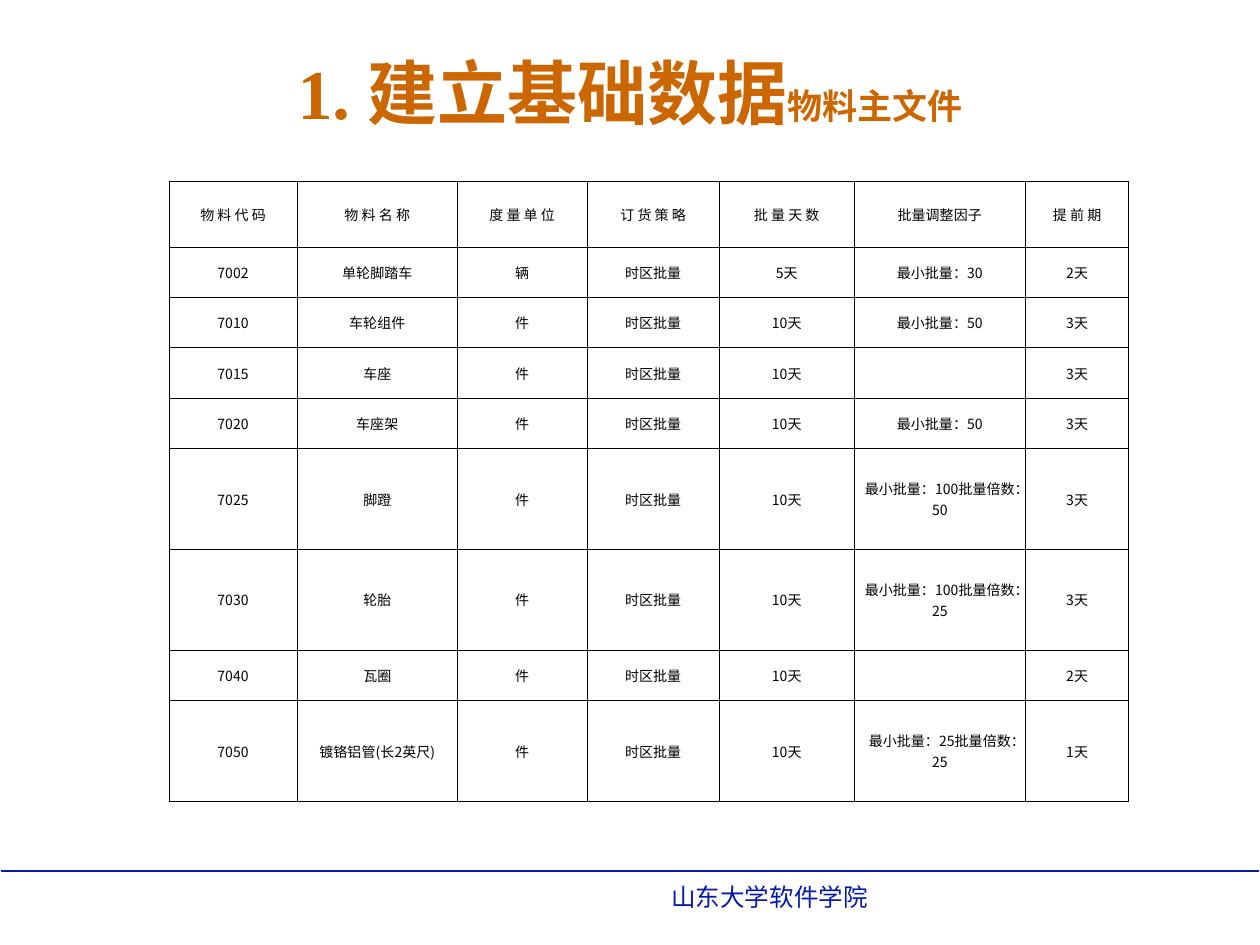
"""Build the material master file slide."""
from lxml.etree import SubElement
from pptx import Presentation
from pptx.dml.color import RGBColor
from pptx.enum.shapes import MSO_CONNECTOR
from pptx.enum.text import MSO_ANCHOR, PP_ALIGN
from pptx.oxml.ns import qn
from pptx.util import Inches, Pt

CJK = "Noto Sans CJK SC"
TITLE = [("1. 建立基础数据", 40), ("物料主文件", 20)]
FOOTER = "山东大学软件学院"
HEADER = ["物 料 代 码", "物 料 名 称", "度 量 单 位", "订 货 策 略",
          "批 量 天 数", "批量调整因子", "提 前 期"]
POLICY = "时区批量"
MATERIALS = [
    ("7002", "单轮脚踏车", "辆", POLICY, "5天", "最小批量：30", "2天"),
    ("7010", "车轮组件", "件", POLICY, "10天", "最小批量：50", "3天"),
    ("7015", "车座", "件", POLICY, "10天", "", "3天"),
    ("7020", "车座架", "件", POLICY, "10天", "最小批量：50", "3天"),
    ("7025", "脚蹬", "件", POLICY, "10天", "最小批量：100批量倍数：50", "3天"),
    ("7030", "轮胎", "件", POLICY, "10天", "最小批量：100批量倍数：25", "3天"),
    ("7040", "瓦圈", "件", POLICY, "10天", "", "2天"),
    ("7050", "镀铬铝管(长2英尺)", "件", POLICY, "10天", "最小批量：25批量倍数：25", "1天"),
]
COL_WIDTHS = [1.02, 1.27, 1.03, 1.05, 1.07, 1.36, 0.82]
HEADER_HEIGHT, ROW_HEIGHT = 0.52, 0.4


def rgb(color):
    return RGBColor.from_string(color)


def style_run(r, size, font, color, bold=False):
    r.font.size, r.font.name, r.font.bold = Pt(size), font, bold
    r.font.color.rgb = rgb(color)
    SubElement(r.font._element, qn("a:ea"), typeface=CJK)


def add_text(s, box, runs, font, color, bold=False, align=PP_ALIGN.LEFT, anchor=MSO_ANCHOR.TOP):
    tf = s.shapes.add_textbox(*map(Inches, box)).text_frame
    tf.word_wrap, tf.vertical_anchor = True, anchor
    p = tf.paragraphs[0]
    p.alignment = align
    for text, size in runs:
        r = p.add_run()
        r.text = text
        style_run(r, size, font, color, bold)


def add_border(cell, side, color, width):
    ln = SubElement(cell._tc.get_or_add_tcPr(), qn(f"a:ln{side}"), w=str(Pt(width)))
    SubElement(SubElement(ln, qn("a:solidFill")), qn("a:srgbClr"), val=color)


def fill_cell(cell, text, margin):
    cell.text = text
    cell.vertical_anchor = MSO_ANCHOR.MIDDLE
    cell.margin_left = cell.margin_right = Inches(margin)
    p = cell.text_frame.paragraphs[0]
    p.alignment = PP_ALIGN.CENTER
    for r in p.runs:
        style_run(r, 8, CJK, "000000")
    if not text:
        SubElement(p._p, qn("a:endParaRPr"), sz="800")
    for side in "LRTB":
        add_border(cell, side, "080000", 0.45)
    cell.fill.background()


def add_materials(s, left, top):
    rows = [HEADER, *MATERIALS]
    heights = [HEADER_HEIGHT] + [ROW_HEIGHT * (2 if "倍数" in m[5] else 1) for m in MATERIALS]
    size = sum(COL_WIDTHS), sum(heights)
    table = s.shapes.add_table(len(rows), len(HEADER), *map(Inches, (left, top, *size))).table
    table.first_row = table.horz_banding = False
    for column, width in zip(table.columns, COL_WIDTHS):
        column.width = Inches(width)
    for i, (row, height) in enumerate(zip(rows, heights)):
        table.rows[i].height = Inches(height)
        for j, text in enumerate(row):
            fill_cell(table.cell(i, j), text, 0.08 if i else 0.1)


def main():
    prs = Presentation()
    prs.slide_width, prs.slide_height = Inches(10), Inches(7.5)
    s = prs.slides.add_slide(prs.slide_layouts[6])
    rule = s.shapes.add_connector(MSO_CONNECTOR.STRAIGHT, *map(Inches, (0.01, 6.91, 9.99, 6.91)))
    rule.line.color.rgb, rule.line.width = rgb("061AAA"), Pt(1)
    SubElement(rule._element.spPr, qn("a:effectLst"))
    add_text(s, (5.23, 6.95, 4.33, 0.34), [(FOOTER, 14)], "Arial", "061AAA")
    add_text(s, (0.75, 0.31, 8.5, 0.83), TITLE, "Times New Roman", "CC6600", True,
             PP_ALIGN.CENTER, MSO_ANCHOR.MIDDLE)
    add_materials(s, 1.34, 1.44)
    prs.save("out.pptx")


if __name__ == "__main__":
    main()
